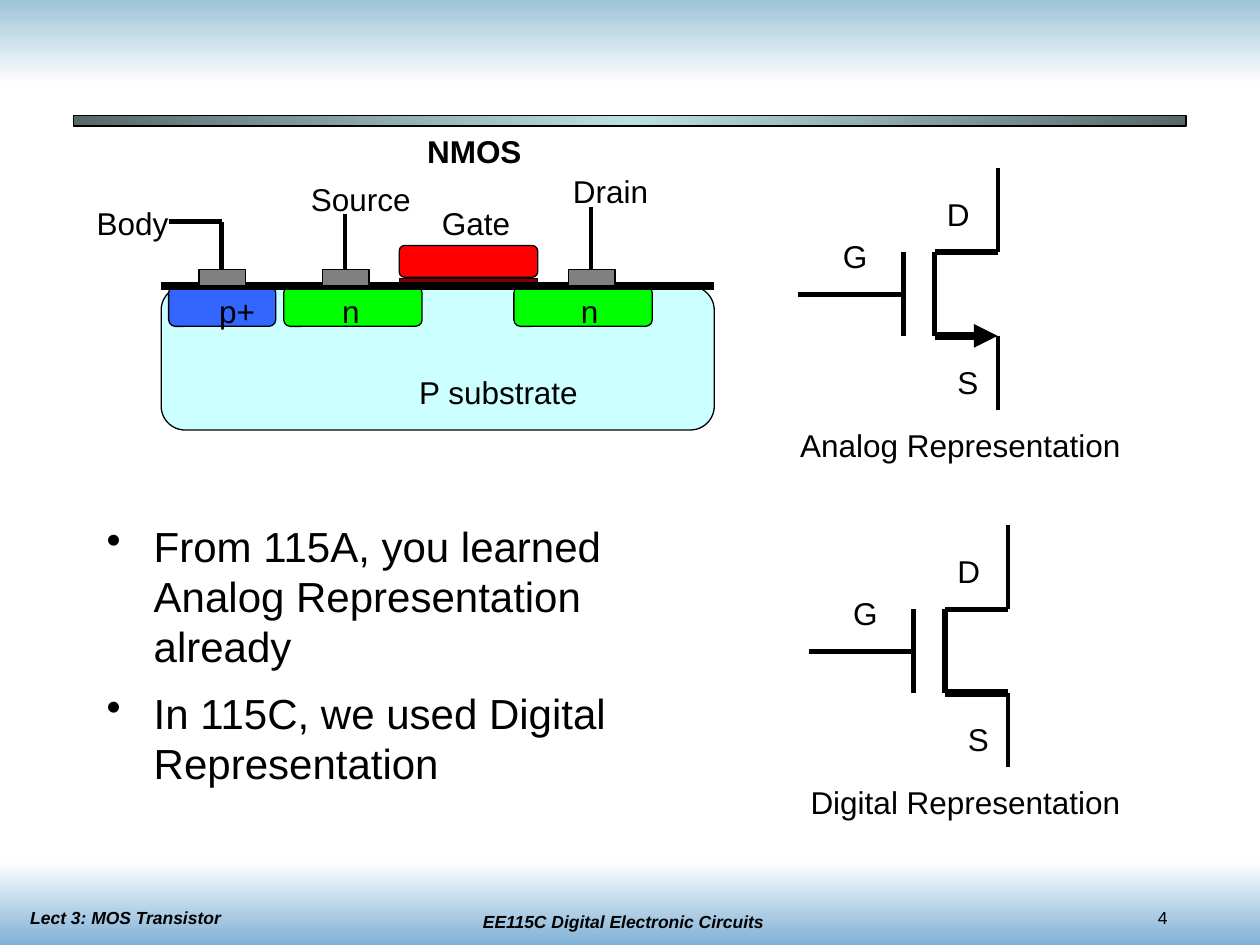
from copy import deepcopy

from lxml import etree
from pptx import Presentation
from pptx.dml.color import RGBColor
from pptx.enum.shapes import MSO_CONNECTOR, MSO_SHAPE
from pptx.enum.text import MSO_AUTO_SIZE, PP_ALIGN
from pptx.oxml.ns import qn
from pptx.util import Cm, Pt

RECTANGLE = MSO_SHAPE.RECTANGLE
ROUNDED = MSO_SHAPE.ROUNDED_RECTANGLE
STRAIGHT = MSO_CONNECTOR.STRAIGHT
LEFT, CENTER = PP_ALIGN.LEFT, PP_ALIGN.CENTER
FIT_SHAPE = MSO_AUTO_SIZE.SHAPE_TO_FIT_TEXT

BLACK = RGBColor(0x00, 0x00, 0x00)
WHITE = RGBColor(0xFF, 0xFF, 0xFF)
TOP_BLUE = RGBColor(0x9D, 0xC4, 0xD7)
BOTTOM_BLUE = RGBColor(0x80, 0xB1, 0xD6)
BAR_DARK = RGBColor(0x56, 0x67, 0x68)
BAR_LIGHT = RGBColor(0xBB, 0xE0, 0xE3)
SUBSTRATE = RGBColor(0xCC, 0xFF, 0xFF)
N_WELL = RGBColor(0x00, 0xFF, 0x00)
P_WELL = RGBColor(0x33, 0x66, 0xFF)
OXIDE = RGBColor(0x80, 0x00, 0x00)
GATE = RGBColor(0xFF, 0x00, 0x00)
CONTACT = RGBColor(0x80, 0x80, 0x80)

presentation = Presentation()
presentation.slide_width = Cm(25.4)
presentation.slide_height = Cm(19.05)
slide = presentation.slides.add_slide(presentation.slide_layouts[6])


def add_box(kind, left, top, width, height, *colors, outline=True, angle=0):
    """Add a shape; several colours make a gradient with evenly spaced stops."""
    shape = slide.shapes.add_shape(kind, Cm(left), Cm(top), Cm(width), Cm(height))
    shape.shadow.inherit = False
    if len(colors) == 1:
        shape.fill.solid()
        shape.fill.fore_color.rgb = colors[0]
    else:
        shape.fill.gradient()
        shape.fill.gradient_angle = angle
        stop_list = shape._element.spPr.find(".//" + qn("a:gsLst"))
        while len(stop_list) < len(colors):
            stop_list.append(deepcopy(stop_list[0]))
        for index, stop in enumerate(shape.fill.gradient_stops):
            stop.position = index / (len(colors) - 1)
            stop.color.rgb = colors[index]
    if outline:
        shape.line.color.rgb = BLACK
        shape.line.width = Pt(0.75)
    else:
        shape.line.fill.background()


def add_text(text, left, top, width, height=1.02, size=18, bold=False, italic=False,
             align=LEFT, wrap=False, bullet=False):
    """Add a text box with one paragraph for each line of text."""
    box = slide.shapes.add_textbox(Cm(left), Cm(top), Cm(width), Cm(height))
    frame = box.text_frame
    frame.word_wrap = wrap
    if not wrap:
        frame.auto_size = FIT_SHAPE
    for index, line in enumerate(text.split("\n")):
        paragraph = frame.paragraphs[0] if index == 0 else frame.add_paragraph()
        paragraph.alignment = align
        if bullet:
            properties = paragraph._p.get_or_add_pPr()
            properties.set("marL", str(Cm(0.95)))
            properties.set("indent", str(-Cm(0.95)))
            etree.SubElement(properties, qn("a:buChar")).set("char", "•")
            if index > 0:
                paragraph.space_before = Pt(9)
        run = paragraph.add_run()
        run.text = line
        run.font.name = "Arial"
        run.font.size = Pt(size)
        run.font.bold = bold
        run.font.italic = italic
        run.font.color.rgb = BLACK


# Background bands, title bar and footer
add_box(RECTANGLE, 0, 0, 25.4, 1.7, TOP_BLUE, WHITE, outline=False, angle=270)
add_box(RECTANGLE, 0, 17.35, 25.4, 1.7, WHITE, BOTTOM_BLUE, outline=False, angle=270)
add_box(RECTANGLE, 1.48, 2.33, 22.43, 0.21, BAR_DARK, BAR_LIGHT, BAR_DARK)
footer = {"height": 0.69, "size": 10, "wrap": True}
add_text("EE115C Digital Electronic Circuits", 8.97, 18.24, 7.19,
         bold=True, italic=True, align=CENTER, **footer)
add_text("4", 23.09, 18.16, 2.11, **footer)
add_text("Lect 3: MOS Transistor", 0.36, 18.16, 7.19, bold=True, italic=True, **footer)

add_text("From 115A, you learned Analog Representation already\n"
         "In 115C, we used Digital Representation",
         1.9, 10.36, 11.99, height=7.82, size=24, wrap=True, bullet=True)

# Transistor cross-section
SURFACE = 5.77
CONTACT_TOP = 5.44
add_box(ROUNDED, 3.25, SURFACE, 11.15, 2.9, SUBSTRATE)
for left, width, color in [(5.72, 2.79, N_WELL), (10.36, 2.79, N_WELL), (3.4, 2.16, P_WELL)]:
    add_box(ROUNDED, left, SURFACE, width, 0.81, color)
add_box(RECTANGLE, 8.05, 5.61, 2.79, 0.15, OXIDE)
add_box(ROUNDED, 8.05, 4.95, 2.79, 0.64, GATE)

# Lines: start x, start y, end x, end y, points, arrow
lines = [
    (3.25, SURFACE, 14.4, SURFACE, 4.5, False),
    (4.47, CONTACT_TOP, 4.47, 4.47, 3, False),
    (4.47, 4.47, 3.4, 4.47, 3, False),
    (6.96, CONTACT_TOP, 6.96, 4.32, 2.25, False),
    (11.91, CONTACT_TOP, 11.91, 4.17, 2.25, False),
]

# Transistor symbols, each placed from its own corner
symbols = [("Analog Representation", 16.09, 3.39, 7.14, True),
           ("Digital Representation", 16.3, 10.59, 6.93, False)]
for caption, x, y, caption_width, source_arrow in symbols:
    gate_x, channel_x, terminal_x = x + 2.12, x + 2.75, x + 4.02
    drain_y, gate_y, source_y = y + 1.69, y + 2.54, y + 3.38
    lines += [
        (x, gate_y, gate_x, gate_y, 3, False),
        (gate_x, drain_y, gate_x, source_y, 3, False),
        (channel_x, drain_y, channel_x, source_y, 3, False),
        (channel_x, source_y, terminal_x, source_y, 4.5, source_arrow),
        (terminal_x, source_y, terminal_x, y + 4.87, 2.25, False),
        (channel_x, drain_y, terminal_x, drain_y, 3, False),
        (terminal_x, drain_y, terminal_x, y, 2.25, False),
    ]
    add_text("S", x + 2.96, y + 3.81, 0.95)
    add_text("G", x + 0.65, y + 1.27, 1.02)
    add_text("D", x + 2.75, y + 0.42, 1)
    add_text(caption, x - 0.21, y + 5.08, caption_width)

for start_x, start_y, end_x, end_y, points, arrow in lines:
    connector = slide.shapes.add_connector(
        STRAIGHT, Cm(start_x), Cm(start_y), Cm(end_x), Cm(end_y))
    connector.line.color.rgb = BLACK
    connector.line.width = Pt(points)
    if arrow:
        etree.SubElement(connector.line._get_or_add_ln(), qn("a:tailEnd")).set("type", "triangle")
    etree.SubElement(connector._element.spPr, qn("a:effectLst"))

for left in (4.01, 6.5, 11.46):
    add_box(RECTANGLE, left, CONTACT_TOP, 0.94, 0.33, CONTACT)

for label, left, top, width in [
    ("n", 6.65, SURFACE, 0.88),
    ("n", 11.46, SURFACE, 0.88),
    ("p+", 4.17, SURFACE, 1.26),
    ("P substrate", 8.2, 7.39, 3.75),
    ("Source", 6.02, 3.51, 2.56),
    ("Drain", 11.3, 3.35, 2.06),
    ("Body", 1.7, 3.99, 1.98),
    ("Gate", 8.66, 3.99, 1.9),
]:
    add_text(label, left, top, width)
add_text("NMOS", 8.36, 2.54, 2.43, bold=True)

presentation.save("out.pptx")
